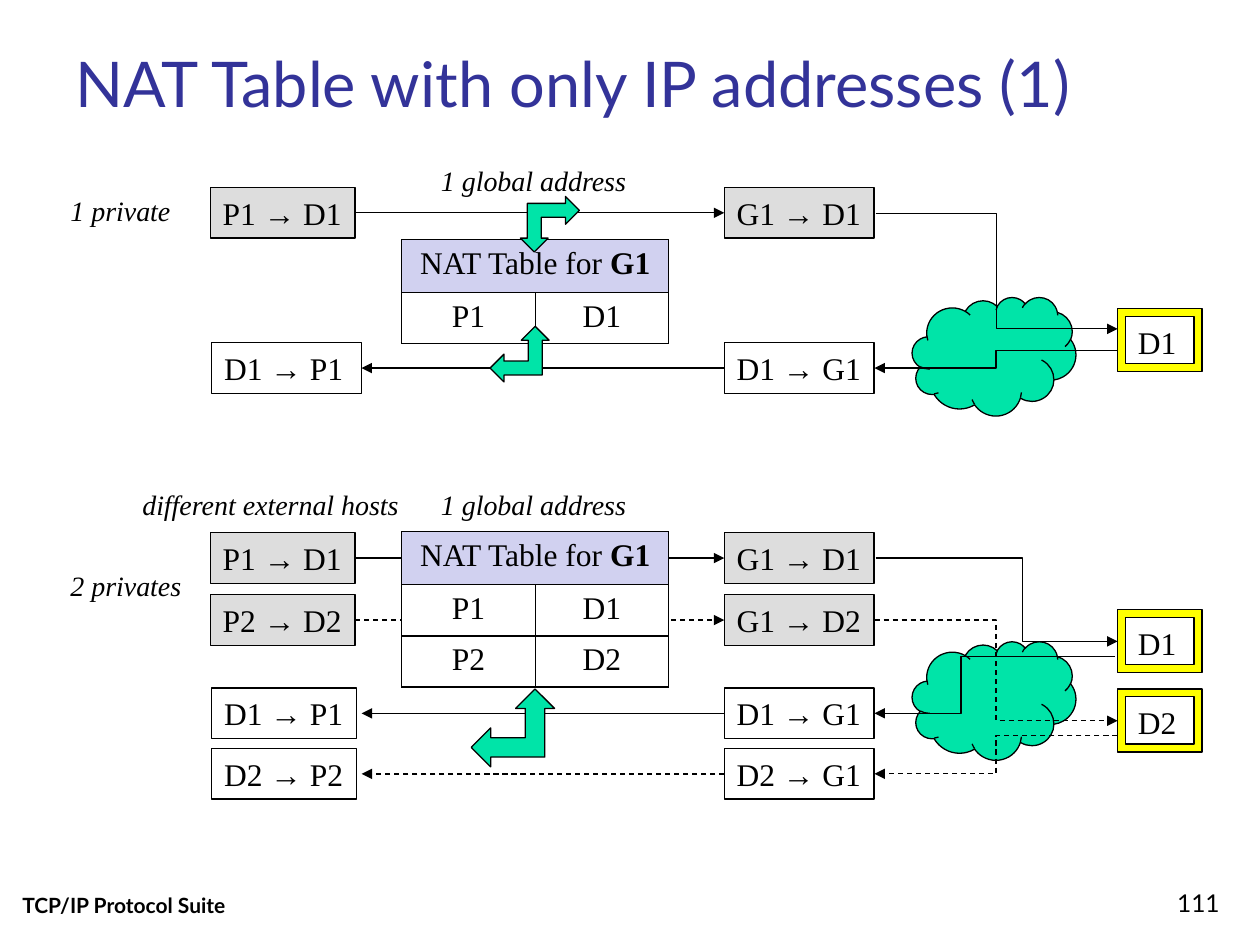
"""Build the slide on NAT tables that hold only IP addresses."""
from lxml import etree
from pptx import Presentation
from pptx.dml.color import RGBColor
from pptx.enum.dml import MSO_LINE
from pptx.enum.shapes import MSO_CONNECTOR, MSO_SHAPE
from pptx.enum.text import MSO_ANCHOR, MSO_AUTO_SIZE, PP_ALIGN
from pptx.oxml.ns import qn
from pptx.util import Cm, Pt

BLACK = RGBColor(0x00, 0x00, 0x00)
WHITE = RGBColor(0xFF, 0xFF, 0xFF)
GREY = RGBColor(0xDD, 0xDD, 0xDD)
LILAC = RGBColor(0xD1, 0xD1, 0xF0)
GREEN = RGBColor(0x00, 0xE4, 0xA8)
YELLOW = RGBColor(0xFF, 0xFF, 0x00)
NAVY = RGBColor(0x33, 0x33, 0x99)
LEFT, CENTER, RIGHT = PP_ALIGN.LEFT, PP_ALIGN.CENTER, PP_ALIGN.RIGHT
TOP, BOTTOM = MSO_ANCHOR.TOP, MSO_ANCHOR.BOTTOM
GROW, FIXED = MSO_AUTO_SIZE.SHAPE_TO_FIT_TEXT, MSO_AUTO_SIZE.NONE
STRAIGHT, ELBOW = MSO_CONNECTOR.STRAIGHT, MSO_CONNECTOR.ELBOW
SOLID, DASH = MSO_LINE.SOLID, MSO_LINE.DASH
RECTANGLE, CLOUD = MSO_SHAPE.RECTANGLE, MSO_SHAPE.CLOUD
FRAME, LEFT_UP_ARROW = MSO_SHAPE.FRAME, MSO_SHAPE.LEFT_UP_ARROW
THIN = Pt(0.75)
PACKET = {"name": "Times New Roman", "size": Pt(18)}
LABEL = {"name": "Times New Roman", "size": Pt(16), "italic": True}
TITLE = {"name": "Lato", "size": Pt(36)}
FOOTER = {"name": "Lato", "size": Pt(12), "bold": True}
NUMBER = {"name": "Lato", "size": Pt(14)}

deck = Presentation()
deck.slide_width, deck.slide_height = Cm(25.4), Cm(19.05)
page = deck.slides.add_slide(deck.slide_layouts[5])
shapes = page.shapes


def write(frame, spans, font_format, alignment=LEFT, color=BLACK):
    para = frame.paragraphs[0]
    para.alignment = alignment
    for text, bold in spans:
        span = para.add_run()
        span.text = text
        for name, value in font_format.items():
            setattr(span.font, name, value)
        if bold:
            span.font.bold = True
        span.font.color.rgb = color


def draw(kind, left, top, width, height, fill=None):
    shape = shapes.add_shape(kind, Cm(left), Cm(top), Cm(width), Cm(height))
    shape.shadow.inherit = False
    if fill is None:
        shape.fill.background()
    else:
        shape.fill.solid()
        shape.fill.fore_color.rgb = fill
    shape.line.color.rgb = BLACK
    shape.line.width = THIN
    shape.text_frame.vertical_anchor = TOP
    return shape


title = shapes.title
title.left, title.top, title.width, title.height = Cm(1.27), Cm(0.76), Cm(22.86), Cm(1.78)
title.text_frame.auto_size = FIXED
title.text_frame.vertical_anchor = TOP
write(title.text_frame, [("NAT Table with only IP addresses (1)", False)], TITLE, LEFT, NAVY)

for text, left, width, font_format, alignment in [
    ("TCP/IP Protocol Suite", 0.2, 8.05, FOOTER, LEFT),
    ("111", 19.56, 5.28, NUMBER, RIGHT),
]:
    box = shapes.add_textbox(Cm(left), Cm(17.35), Cm(width), Cm(1.27))
    box.text_frame.word_wrap = True
    box.text_frame.vertical_anchor = BOTTOM
    write(box.text_frame, [(text, False)], font_format, alignment)

for top in (5.99, 12.93):
    draw(CLOUD, 18.39, top, 3.3, 2.39, GREEN)

for text, top in [("D1", 6.22), ("D1", 12.29), ("D2", 13.89)]:
    host = draw(FRAME, 22.53, top, 1.7, 1.27, YELLOW)
    write(host.text_frame, [(text, False)], PACKET)

wires = []
for top, private, width, public, outgoing, dash in [
    (3.78, "P1 → D1", 2.92, "G1 → D1", True, SOLID),
    (6.91, "D1 → P1", 3.02, "D1 → G1", False, SOLID),
    (10.74, "P1 → D1", 2.92, "G1 → D1", True, SOLID),
    (11.99, "P2 → D2", 2.92, "G1 → D2", True, DASH),
    (13.87, "D1 → P1", 2.92, "D1 → G1", False, SOLID),
    (15.09, "D2 → P2", 2.92, "D2 → G1", False, DASH),
]:
    fill = GREY if outgoing else None
    private_box = draw(RECTANGLE, 4.24 if outgoing else 4.27, top, width, 1.02, fill)
    public_box = draw(RECTANGLE, 14.6, top, 3.02, 1.02, fill)
    for box, text in ((private_box, private), (public_box, public)):
        box.text_frame.word_wrap = False
        box.text_frame.auto_size = GROW
        write(box.text_frame, [(text, False)], PACKET)
    middle = Cm(top + 0.51)
    wire = shapes.add_connector(STRAIGHT, Cm(14.6), middle, Cm(7.29), middle)
    if outgoing:
        wire.begin_connect(private_box, 3)
        wire.end_connect(public_box, 1)
    else:
        wire.begin_connect(public_box, 1)
        if width == 3.02:
            wire.end_connect(private_box, 3)
    wires.append((wire, dash))

for start_x, start_y, end_x, end_y, bend, dash in [
    (17.65, 4.3, 22.53, 6.63, 50000, SOLID),
    (22.53, 7.06, 17.63, 7.42, 50000, SOLID),
    (17.65, 11.25, 22.53, 12.93, 60700, SOLID),
    (22.53, 14.83, 17.63, 15.6, 50000, DASH),
    (17.63, 12.5, 22.53, 14.53, 50000, DASH),
    (22.48, 13.23, 17.63, 14.38, 64000, SOLID),
]:
    wire = shapes.add_connector(ELBOW, Cm(start_x), Cm(start_y), Cm(end_x), Cm(end_y))
    guides = wire._element.spPr.find(qn("a:prstGeom")).find(qn("a:avLst"))
    etree.SubElement(guides, qn("a:gd"), name="adj1", fmla=f"val {bend}")
    wires.append((wire, dash))

for wire, dash in wires:
    wire.line.color.rgb = BLACK
    wire.line.width = THIN
    wire.line.dash_style = dash
    properties = wire._element.spPr
    etree.SubElement(properties.find(qn("a:ln")), qn("a:tailEnd"), type="triangle")
    etree.SubElement(properties, qn("a:effectLst"))

for top, pairs in [(4.83, [("P1", "D1")]), (10.72, [("P1", "D1"), ("P2", "D2")])]:
    height = 1.07 + 1.03 * len(pairs)
    table = shapes.add_table(len(pairs) + 1, 2, Cm(8.1), Cm(top), Cm(5.38), Cm(height)).table
    for index, row in enumerate(table.rows):
        row.height = Cm(1.03 if index else 1.07)
        for column, cell in enumerate(row.cells):
            for side in ("lnL", "lnR", "lnT", "lnB"):
                border = etree.SubElement(cell._tc.get_or_add_tcPr(), qn(f"a:{side}"), w=str(THIN))
                paint = etree.SubElement(border, qn("a:solidFill"))
                etree.SubElement(paint, qn("a:srgbClr"), val=str(BLACK))
            cell.fill.solid()
            cell.fill.fore_color.rgb = WHITE if index else LILAC
            if index:
                write(cell.text_frame, [(pairs[index - 1][column], False)], PACKET, CENTER)
    header = table.cell(0, 0)
    header.merge(table.cell(0, 1))
    write(header.text_frame, [("NAT Table for ", False), ("G1", True)], PACKET, CENTER)

for left, top, width, height, rotation in [
    (10.49, 3.96, 1.19, 1.12, 180),
    (9.88, 6.58, 1.19, 1.12, 0),
    (9.5, 13.89, 1.68, 1.57, 0),
]:
    draw(LEFT_UP_ARROW, left, top, width, height, GREEN).rotation = rotation

for text, left, top, width in [
    ("1 private", 1.17, 3.78, 2.57),
    ("1 global address", 8.64, 3.18, 4.29),
    ("2 privates", 1.17, 11.33, 2.79),
    ("1 global address", 8.64, 9.7, 4.29),
    ("different external hosts", 2.62, 9.7, 5.77),
]:
    box = shapes.add_textbox(Cm(left), Cm(top), Cm(width), Cm(0.94))
    box.text_frame.word_wrap = False
    box.text_frame.auto_size = GROW
    write(box.text_frame, [(text, False)], LABEL)

deck.save("out.pptx")
